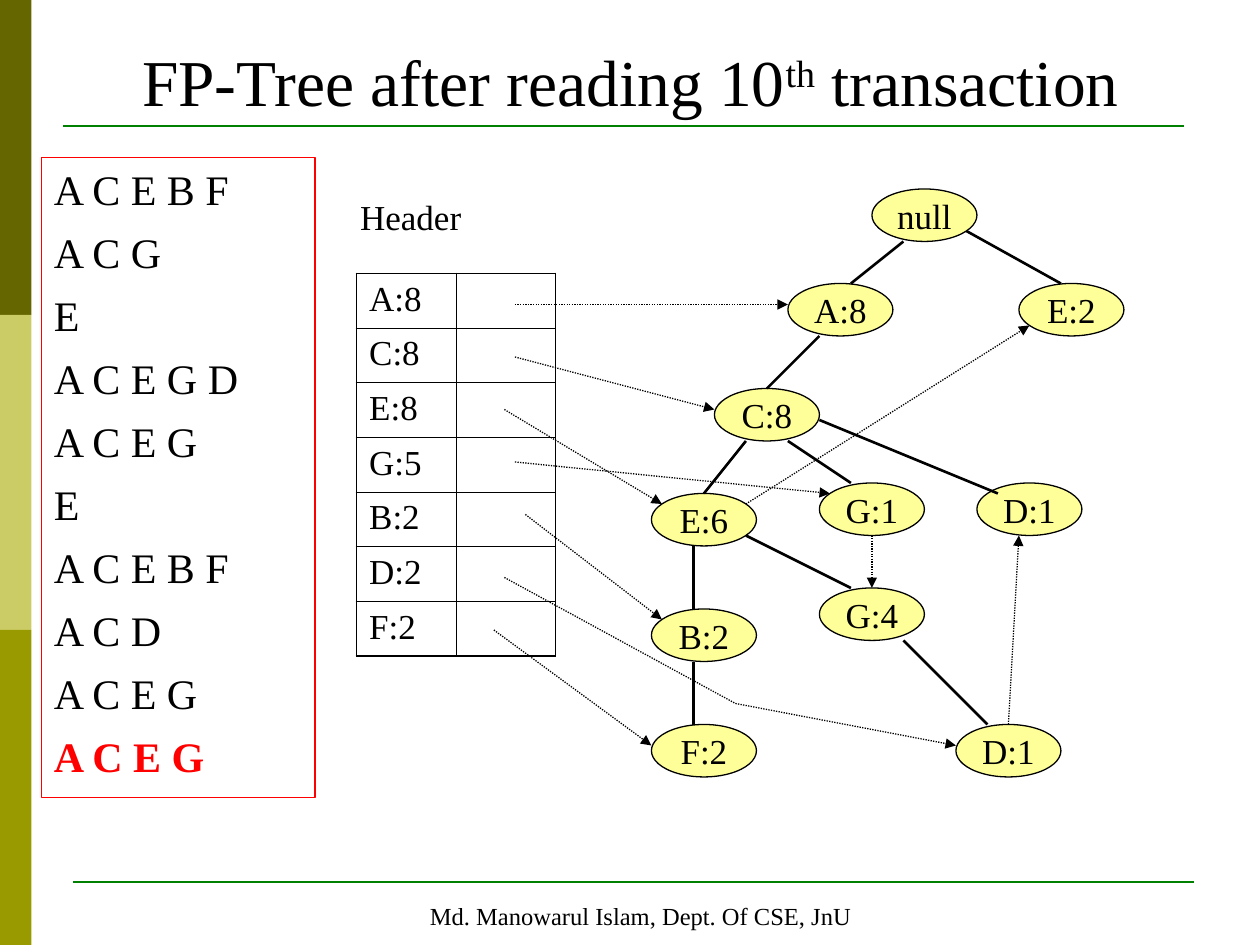
import pptx
import pptx.util
import pptx.dml.color
import pptx.enum.dml
import pptx.enum.shapes
import pptx.enum.text
import pptx.oxml
import pptx.oxml.ns

Inches = pptx.util.Inches
Pt = pptx.util.Pt
ALIGN = pptx.enum.text.PP_ALIGN
ANCHOR = pptx.enum.text.MSO_ANCHOR
SHAPE = pptx.enum.shapes.MSO_SHAPE
NS = pptx.oxml.ns.nsdecls("a")
FONT = "Times New Roman"
BLACK, RED, GREEN = "000000", "FF0000", "008000"
GRID = 1 / 12

TRANSACTIONS = ["A C E B F", "A C G", "E", "A C E G D", "A C E G",
                "E", "A C E B F", "A C D", "A C E G", "A C E G"]
HEADER_ITEMS = ["A:8", "C:8", "E:8", "G:5", "B:2", "D:2", "F:2"]

# GRID_UNITS
NODES = [("null", 36, 0), ("A:8", 28, 9), ("E:2", 50, 9), ("C:8", 21, 19),
         ("G:1", 31, 28), ("D:1", 46, 28), ("E:6", 15, 29), ("G:4", 31, 38),
         ("B:2", 15, 40), ("F:2", 15, 51), ("D:1", 44, 51)]
BRANCHES = [(39, 5, 34, 9), (45, 4, 54, 9), (31, 14, 26, 19), (24, 24, 20, 29),
            (28, 24, 34, 28), (31, 22, 48, 29), (19, 34, 19, 40),
            (24, 33, 34, 38), (19, 45, 19, 51), (39, 43, 47, 51)]
POINTERS = [(2, 11, 28, 11), (2, 16, 21, 21), (1, 21, 16, 30), (2, 26, 32, 29),
            (3, 31, 16, 41), (0, 42, 15, 53), (24, 30, 51, 13),
            (36, 33, 36, 38), (23, 49, 44, 53), (49, 51, 50, 33)]
POINTER_BEND = (1, 37, 23, 49)


def color(value):
    return pptx.dml.color.RGBColor.from_string(value)


def apply(target, values):
    for name, value in values.items():
        setattr(target, name, value)


def add_run(paragraph, text, size, ink=BLACK, bold=False):
    run = paragraph.add_run()
    run.text = text
    apply(run.font, {"name": FONT, "size": Pt(size), "bold": bold})
    run.font.color.rgb = color(ink)
    return run


def add_box(slide, kind, box, fill=None, line=None, width=0.75):
    shape = slide.shapes.add_shape(kind, *map(Inches, box))
    shape.shadow.inherit = False
    if fill:
        shape.fill.solid()
        shape.fill.fore_color.rgb = color(fill)
    else:
        shape.fill.background()
    if line:
        shape.line.color.rgb = color(line)
        shape.line.width = Pt(width)
    else:
        shape.line.fill.background()
    return shape


def add_line(slide, ends, ink=BLACK, width=1.5, dotted=False, arrow=False):
    line = slide.shapes.add_connector(
        pptx.enum.shapes.MSO_CONNECTOR.STRAIGHT, *map(Inches, ends))
    line.line.color.rgb = color(ink)
    line.line.width = Pt(width)
    if dotted:
        line.line.dash_style = pptx.enum.dml.MSO_LINE.ROUND_DOT
    if arrow:
        line.line._get_or_add_ln().append(
            pptx.oxml.parse_xml(f'<a:tailEnd {NS} type="triangle"/>'))
    line._element.spPr.append(pptx.oxml.parse_xml(f"<a:effectLst {NS}/>"))


def draw_frame(slide, width, height):
    band = height / 3
    for row, fill in enumerate(["666600", "CCCC66", "999900"]):
        add_box(slide, SHAPE.RECTANGLE, (0, row * band, 0.25, band), fill)
    for left, top in [(0.5, 1), (0.58, 7)]:
        add_line(slide, (left, top, left + 8.9, top), GREEN)
    footer = add_box(slide, SHAPE.RECTANGLE, (0.5, 7.1, width - 0.83, 0.35),
                     "FFFFFF", "FFFFFF", 2)
    apply(footer.text_frame, {"word_wrap": False, "vertical_anchor": ANCHOR.TOP})
    paragraph = footer.text_frame.paragraphs[0]
    paragraph.alignment = ALIGN.CENTER
    add_run(paragraph, "Md. Manowarul Islam, Dept. Of CSE, JnU", 14)


def write_title(slide, left, top, width, height):
    title = slide.shapes.title
    apply(title, {"left": Inches(left), "top": Inches(top),
                  "width": Inches(width), "height": Inches(height)})
    apply(title.text_frame, {"vertical_anchor": ANCHOR.MIDDLE, "word_wrap": True,
                             "auto_size": pptx.enum.text.MSO_AUTO_SIZE.NONE})
    paragraph = title.text_frame.paragraphs[0]
    paragraph.alignment = ALIGN.CENTER
    add_run(paragraph, "FP-Tree after reading 10", 37.4)
    ordinal = add_run(paragraph, "th", 37.4)
    ordinal.font._element.set("baseline", "30000")
    add_run(paragraph, " transaction", 37.4)


def list_transactions(slide, left, top, width, height):
    panel = add_box(slide, SHAPE.RECTANGLE, (left, top, width, height), line=RED)
    frame = panel.text_frame
    apply(frame, {"word_wrap": True, "vertical_anchor": ANCHOR.TOP})
    last = len(TRANSACTIONS) - 1
    for index, items in enumerate(TRANSACTIONS):
        paragraph = frame.add_paragraph() if index else frame.paragraphs[0]
        apply(paragraph, {"alignment": ALIGN.LEFT,
                          "space_before": Pt(7.2 if index else 0)})
        newest = index == last
        add_run(paragraph, items, 24, RED if newest else BLACK, newest)


def border_cell(cell, outer_sides):
    properties = cell._tc.get_or_add_tcPr()
    for position, side in enumerate("LRTB"):
        width = Pt(1.08 if side in outer_sides else 0.45)
        properties.insert(position, pptx.oxml.parse_xml(
            f'<a:ln{side} {NS} w="{width}"><a:solidFill>'
            f'<a:srgbClr val="{BLACK}"/></a:solidFill></a:ln{side}>'))


def build_header_table(slide, left, top, width, height):
    label = slide.shapes.add_textbox(
        Inches(left - 0.07), Inches(top - 0.67), Inches(1), Inches(0.44))
    label.text_frame.word_wrap = False
    add_run(label.text_frame.paragraphs[0], "Header", 20)

    count = len(HEADER_ITEMS)
    table = slide.shapes.add_table(
        count, 2, *map(Inches, (left, top, width, height))).table
    apply(table, {"first_row": False, "horz_banding": False})
    for row, item in enumerate(HEADER_ITEMS):
        add_run(table.cell(row, 0).text_frame.paragraphs[0], item, 20)
        for column in range(2):
            cell = table.cell(row, column)
            cell.fill.background()
            row_edge = {0: "T", count - 1: "B"}.get(row, "")
            border_cell(cell, "LR"[column] + row_edge)


def draw_tree(slide, left, top):
    def place(ends):
        return [origin + units * GRID
                for origin, units in zip((left, top) * 2, ends)]

    for name, column, row in NODES:
        x, y = place((column, row))
        node = add_box(slide, SHAPE.OVAL, (x, y, 10 * GRID, 5 * GRID),
                       "FFFF99", BLACK)
        apply(node.text_frame, {"word_wrap": False,
                                "vertical_anchor": ANCHOR.MIDDLE})
        paragraph = node.text_frame.paragraphs[0]
        paragraph.alignment = ALIGN.CENTER
        add_run(paragraph, name, 20)
    for ends in BRANCHES:
        add_line(slide, place(ends))
    add_line(slide, place(POINTER_BEND), width=0.75, dotted=True)
    for ends in POINTERS:
        add_line(slide, place(ends), width=0.75, dotted=True, arrow=True)


def main():
    deck = pptx.Presentation()
    width, height = 10, 7.5
    apply(deck, {"slide_width": Inches(width), "slide_height": Inches(height)})
    slide = deck.slides.add_slide(deck.slide_layouts[5])
    draw_frame(slide, width, height)
    write_title(slide, 0.17, 0.25, 9.67, 0.78)
    list_transactions(slide, 0.33, 1.25, 2.17, 5.08)
    build_header_table(slide, 2.83, 2.17, 1.58, 3.03)
    draw_tree(slide, 3.92, 1.5)
    deck.save("out.pptx")


if __name__ == "__main__":
    main()
